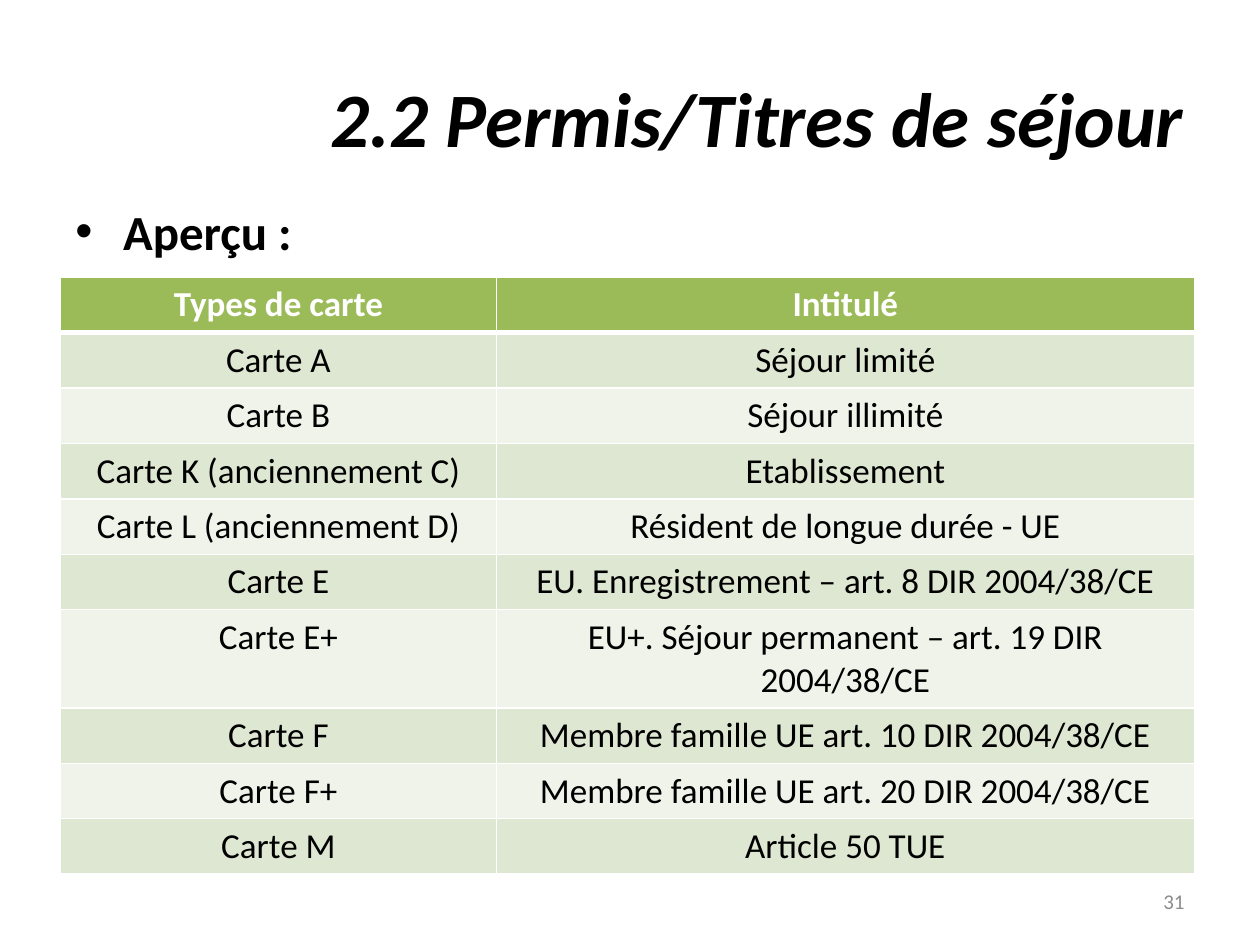
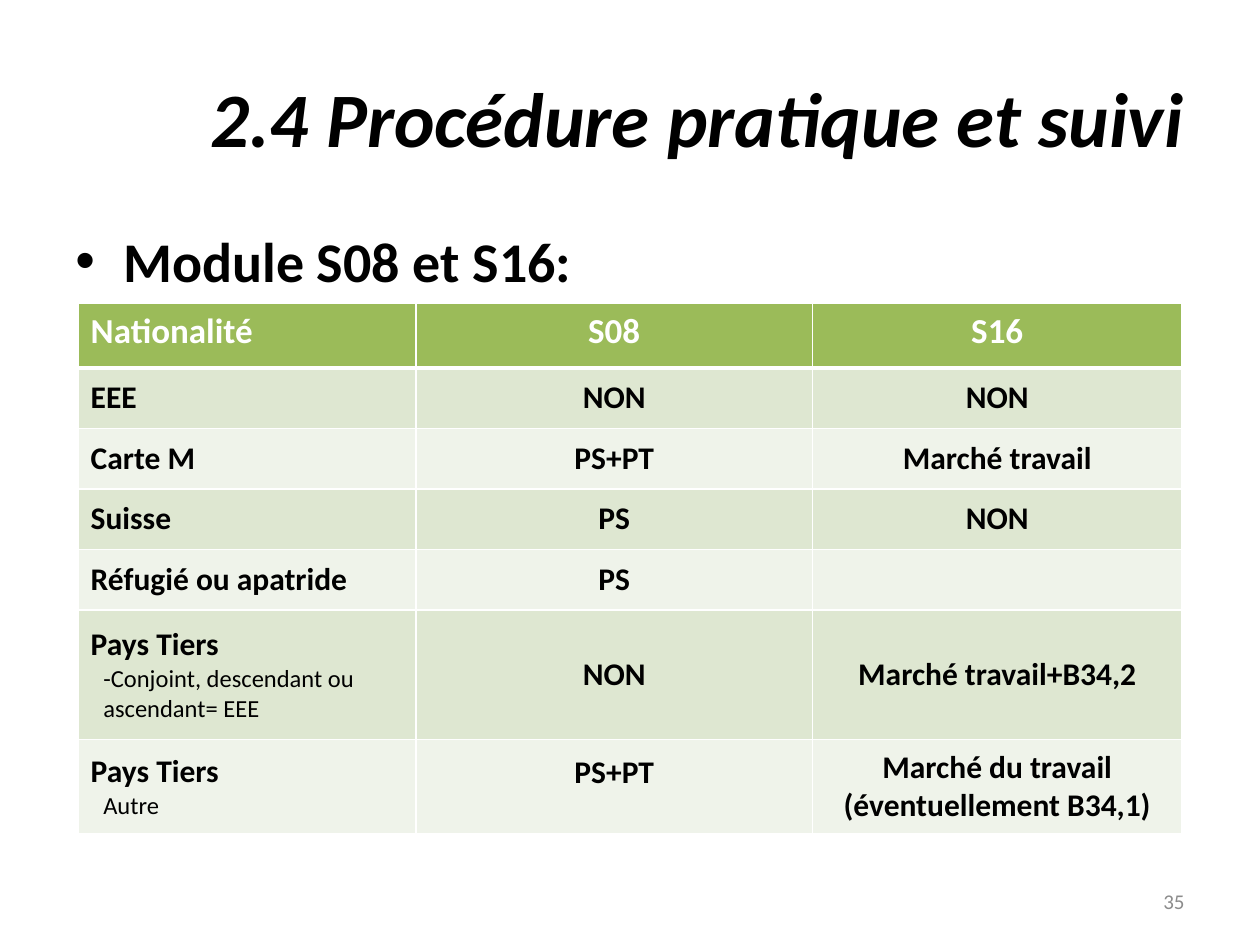
"""Build two slides on residence cards and the S08 and S16 modules."""
from lxml import etree
from pptx import Presentation
from pptx.dml.color import RGBColor
from pptx.enum import text
from pptx.oxml import ns
from pptx.util import Inches, Pt

BLACK = RGBColor(0x00, 0x00, 0x00)
WHITE = RGBColor(0xFF, 0xFF, 0xFF)
GREY = RGBColor(0x8C, 0x8C, 0x8C)
GREEN = RGBColor(0x9B, 0xBB, 0x59)
BANDS = (RGBColor(0xDE, 0xE7, 0xD1), RGBColor(0xEF, 0xF3, 0xEA))
FONT = "Calibri"
LEFT, CENTER, RIGHT = text.PP_ALIGN.LEFT, text.PP_ALIGN.CENTER, text.PP_ALIGN.RIGHT
TOP, MIDDLE = text.MSO_ANCHOR.TOP, text.MSO_ANCHOR.MIDDLE
BODY_BOTTOM = 6.7
DETAIL_SIZE, DETAIL_INDENT = 14, 0.1

SLIDES = [
    {
        "title": "2.2 Permis/Titres de séjour",
        "number": "31",
        "bullet": "Aperçu :", "bullet_top": 1.55, "bullet_size": 28,
        "position": (0.48, 2.2),
        "columns": [3.46, 5.54],
        "heights": [0.44] * 6 + [0.78] + [0.44] * 3,
        "first_align": CENTER, "body_size": 20, "body_bold": False, "body_anchor": TOP,
        "rows": [
            ("Types de carte", "Intitulé"),
            ("Carte A", "Séjour limité"),
            ("Carte B", "Séjour illimité"),
            ("Carte K (anciennement C)", "Etablissement"),
            ("Carte L (anciennement D)", "Résident de longue durée - UE"),
            ("Carte E", "EU. Enregistrement – art. 8 DIR 2004/38/CE"),
            ("Carte E+", "EU+. Séjour permanent – art. 19 DIR 2004/38/CE"),
            ("Carte F", "Membre famille UE art. 10 DIR 2004/38/CE"),
            ("Carte F+", "Membre famille UE art. 20 DIR 2004/38/CE"),
            ("Carte M", "Article 50 TUE"),
        ],
        "bottom_margins": {},
    },
    {
        "title": "2.4 Procédure pratique et suivi",
        "number": "35",
        "bullet": "Module S08 et S16:", "bullet_top": 1.75, "bullet_size": 32,
        "position": (0.62, 2.41),
        "columns": [2.68, 3.15, 2.93],
        "heights": [0.51] + [0.48] * 4 + [1.03, 0.75],
        "first_align": LEFT, "body_size": 18, "body_bold": True, "body_anchor": MIDDLE,
        "rows": [
            ("Nationalité", "S08", "S16"),
            ("EEE", "NON", "NON"),
            ("Carte M", "PS+PT", "Marché travail"),
            ("Suisse", "PS", "NON"),
            ("Réfugié ou apatride", "PS", ""),
            ("Pays Tiers\n-Conjoint, descendant ou ascendant= EEE", "NON", "Marché travail+B34,2"),
            ("Pays Tiers\nAutre", "PS+PT", "Marché du travail (éventuellement B34,1)"),
        ],
        "bottom_margins": {(6, 1): 0.28},
    },
]


def style(paragraph, size, color, align=LEFT, bold=False, italic=False):
    paragraph.alignment = align
    for run in paragraph.runs:
        font = run.font
        font.name, font.size, font.bold, font.italic = FONT, Pt(size), bold, italic
        font.color.rgb = color


def add_text(slide, place, words, anchor=MIDDLE):
    box = slide.shapes.add_textbox(*map(Inches, place))
    frame = box.text_frame
    frame.word_wrap = True
    frame.vertical_anchor = anchor
    frame.text = words
    return frame.paragraphs[0]


def indent(paragraph, left, first=0):
    properties = paragraph._p.get_or_add_pPr()
    properties.set("marL", str(Inches(left)))
    properties.set("indent", str(Inches(first)))
    return properties


def add_bullet(paragraph):
    properties = indent(paragraph, 0.38, -0.38)
    etree.SubElement(properties, ns.qn("a:buFont"), typeface="Arial")
    etree.SubElement(properties, ns.qn("a:buChar"), char="•")


def set_borders(cell, row):
    properties = cell._tc.get_or_add_tcPr()
    widths = {"L": 1, "R": 1, "T": 3 if row == 1 else 1, "B": 3 if row == 0 else 1}
    for side, width in widths.items():
        line = etree.SubElement(properties, ns.qn(f"a:ln{side}"), w=str(Pt(width)))
        fill = etree.SubElement(line, ns.qn("a:solidFill"))
        etree.SubElement(fill, ns.qn("a:srgbClr"), val=str(WHITE))


def fill_cell(cell, words, row, column, content):
    header = row == 0
    set_borders(cell, row)
    cell.fill.solid()
    cell.fill.fore_color.rgb = GREEN if header else BANDS[(row - 1) % 2]
    cell.vertical_anchor = TOP if header else content["body_anchor"]
    cell.margin_bottom = Inches(content["bottom_margins"].get((row, column), 0.05))
    cell.text_frame.text = words
    heading, *details = cell.text_frame.paragraphs
    style(heading, 20 if header else content["body_size"], WHITE if header else BLACK,
          CENTER if column else content["first_align"], header or content["body_bold"])
    for detail in details:
        indent(detail, DETAIL_INDENT)
        style(detail, DETAIL_SIZE, BLACK)


def add_table(slide, content):
    rows, columns, heights = content["rows"], content["columns"], content["heights"]
    place = (*content["position"], sum(columns), sum(heights))
    table = slide.shapes.add_table(len(rows), len(columns), *map(Inches, place)).table
    for column, width in zip(table.columns, columns):
        column.width = Inches(width)
    for row, height in zip(table.rows, heights):
        row.height = Inches(height)
    for row, values in enumerate(rows):
        for column, words in enumerate(values):
            fill_cell(table.cell(row, column), words, row, column, content)


def add_slide(presentation, content):
    slide = presentation.slides.add_slide(presentation.slide_layouts[6])
    title = add_text(slide, (0.5, 0.3, 9, 1.25), content["title"])
    style(title, 44, BLACK, RIGHT, bold=True, italic=True)
    number = add_text(slide, (7.17, 6.95, 2.33, 0.4), content["number"])
    style(number, 12, GREY, RIGHT)
    top = content["bullet_top"]
    bullet = add_text(slide, (0.5, top, 9, BODY_BOTTOM - top), content["bullet"], TOP)
    add_bullet(bullet)
    style(bullet, content["bullet_size"], BLACK, bold=True)
    add_table(slide, content)


def main():
    presentation = Presentation()
    presentation.slide_width, presentation.slide_height = Inches(10), Inches(7.5)
    for content in SLIDES:
        add_slide(presentation, content)
    presentation.save("out.pptx")


if __name__ == "__main__":
    main()
